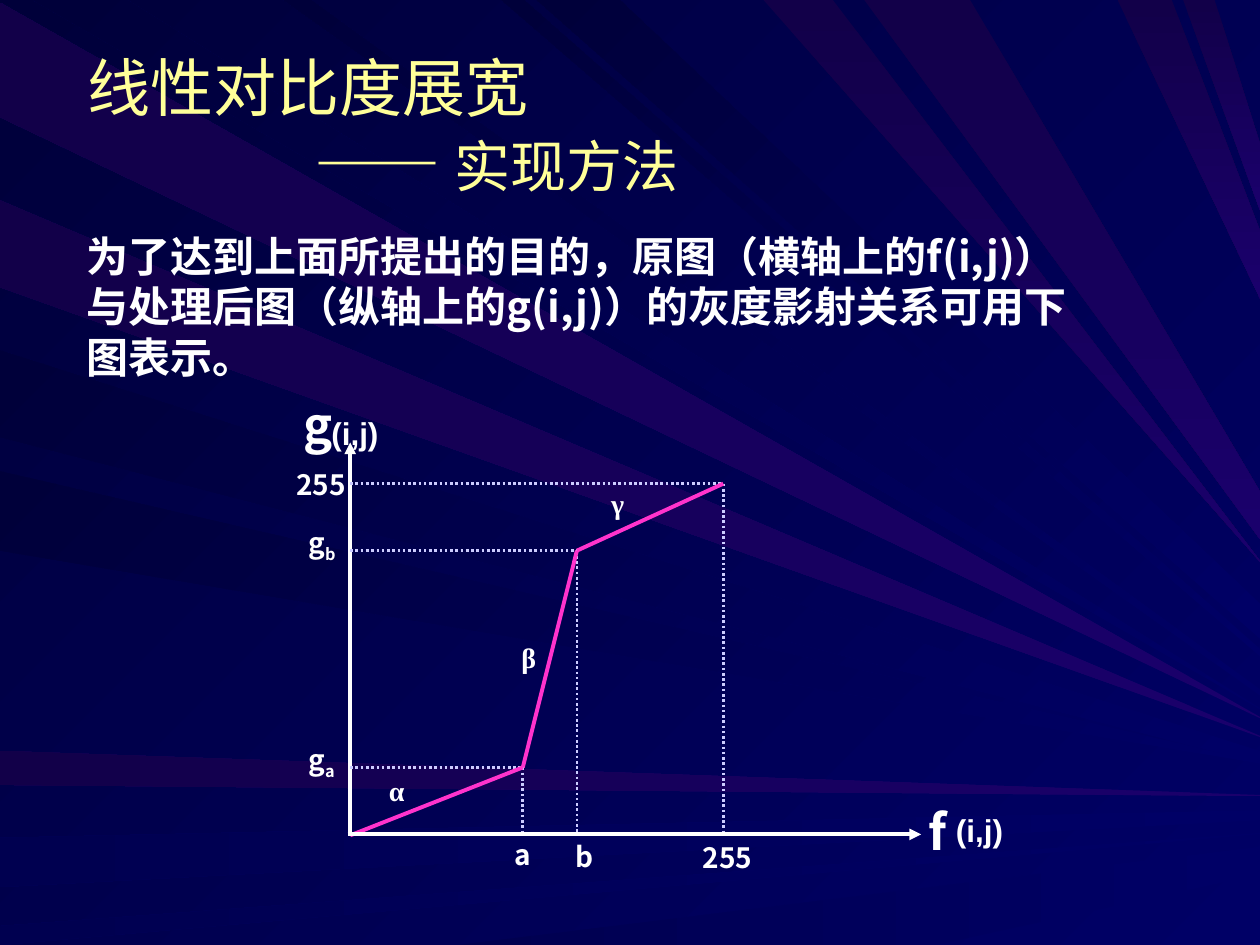
from dataclasses import dataclass
from itertools import pairwise

from lxml.etree import SubElement
from pptx import Presentation
from pptx.dml.color import RGBColor
from pptx.enum.dml import MSO_LINE
from pptx.enum.shapes import MSO_CONNECTOR
from pptx.enum.text import MSO_ANCHOR, MSO_AUTO_SIZE, PP_ALIGN
from pptx.oxml.ns import qn
from pptx.util import Cm, Pt


@dataclass(frozen=True)
class Theme:
    cjk: str = "Noto Sans CJK SC"
    latin: str = "Arial"
    greek: str = "Times New Roman"
    navy: str = "000066"
    dusk: str = "000050"
    night: str = "00003A"
    violet: str = "1A006C"
    plum: str = "120049"
    title: str = "FFFF99"
    text: str = "FFFFFF"
    guide: str = "CCCCFF"
    curve: str = "FF33CC"
    title_size: int = 36
    subtitle_size: int = 32
    body_size: int = 24
    axis_size: int = 28
    arg_size: int = 18
    label_size: int = 16
    leading: float = 1.2


T = Theme()


def write(p, runs, font, color, bold):
    """Fill a paragraph with (text, size) runs; a third item sets the baseline."""
    p.line_spacing = Pt(round(T.leading * max(run[1] for run in runs), 1))
    for text, size, *baseline in runs:
        r = p.add_run()
        r.text = text
        for name, value in {"name": font, "size": Pt(size), "bold": bold}.items():
            setattr(r.font, name, value)
        r.font.color.rgb = RGBColor.from_string(color)
        rPr = r.font._element
        SubElement(rPr, qn("a:ea")).set("typeface", font)
        for value in baseline:
            rPr.set("baseline", str(value))


def draw_line(start, end, color, width, dash=None, arrow=False):
    c = s.shapes.add_connector(MSO_CONNECTOR.STRAIGHT, *map(Cm, start + end))
    c.line.color.rgb = RGBColor.from_string(color)
    c.line.width = Pt(width)
    if dash:
        c.line.dash_style = dash
    if arrow:
        SubElement(c.line._get_or_add_ln(), qn("a:tailEnd")).set("type", "triangle")
    SubElement(c._element.spPr, qn("a:effectLst"))


prs = Presentation()
prs.slide_width, prs.slide_height = Cm(25.4), Cm(19.05)
s = prs.slides.add_slide(prs.slide_layouts[5])

# Background: rays run from a span on one edge to a span on the right edge,
# on a grid of 1000 by 750 units
UNIT = Cm(0.0254)
DIAGONAL = (T.navy, T.night, 135)
FLAT = (T.navy, T.dusk, 180)
VIOLET = (T.violet, T.plum, 180)
VIOLET_DOWN = (T.plum, T.violet, 270)
EDGES = {
    "left": lambda v: (0, v),
    "top": lambda v: (v, 0),
    "bottom": lambda v: (v, 750),
}
RAYS = [
    ("left", VIOLET, [(2, 93, 569, 570), (159, 228, 584, 585), (596, 623, 631, 632)]),
    ("left", FLAT, [(665, 704, 643, 651), (735, 750, 661, 662)]),
    ("bottom", FLAT, [(364, 742, 672, 694)]),
    ("left", DIAGONAL, [(278, 347, 596, 606), (374, 437, 605, 606)]),
    ("top", DIAGONAL, [(26, 101, 563, 562), (225, 247, 552, 547),
                       (398, 416, 521, 515), (426, 492, 507, 479)]),
    ("top", VIOLET_DOWN, [(606, 661, 446, 445), (686, 770, 428, 390),
                          (887, 930, 237, 183), (939, 964, 167, 114)]),
]
rays = s.shapes.add_group_shape()
s.shapes._spTree.insert(2, rays._element)
fills = [(s.background.fill, DIAGONAL)]
for edge, style, spans in RAYS:
    on_edge = EDGES[edge]
    for a, b, end_a, end_b in spans:
        outline = rays.shapes.build_freeform(*on_edge(a), scale=UNIT)
        outline.add_line_segments([on_edge(b), (1000, end_b), (1000, end_a)])
        ray = outline.convert_to_shape()
        ray.shadow.inherit = False
        ray.line.fill.background()
        fills.append((ray.fill, style))
for fill, (start, end, angle) in fills:
    fill.gradient()
    fill.gradient_angle = angle
    for stop, color in zip(fill.gradient_stops, (start, end)):
        stop.color.rgb = RGBColor.from_string(color)

# Title, with an indented second line
title = s.shapes.title
place = {"left": 1.5, "top": 0.91, "width": 21.21, "height": 3.2}
for name, value in place.items():
    setattr(title, name, Cm(value))
tf = title.text_frame
frame = {"word_wrap": True, "auto_size": MSO_AUTO_SIZE.NONE,
         "vertical_anchor": MSO_ANCHOR.MIDDLE}
for name, value in frame.items():
    setattr(tf, name, value)
title_lines = [
    (0, [("线性对比度展宽", T.title_size)]),
    (4.58, [("—— ", T.title_size), ("实现方法", T.subtitle_size)]),
]
for i, (indent, runs) in enumerate(title_lines):
    p = tf.add_paragraph() if i else tf.paragraphs[0]
    for name, value in {"alignment": PP_ALIGN.LEFT, "space_before": Pt(0)}.items():
        setattr(p, name, value)
    pPr = p._p.get_or_add_pPr()
    pPr.set("marL", str(Cm(indent)))
    pPr.set("indent", "0")
    write(p, runs, T.cjk, T.title, False)

# Body text
tf = s.shapes.add_textbox(Cm(1.5), Cm(4.52), Cm(20.8), Cm(3.3)).text_frame
tf.word_wrap = True
body = ("为了达到上面所提出的目的，原图（横轴上的f(i,j)）"
        "与处理后图（纵轴上的g(i,j)）的灰度影射关系可用下图表示。")
write(tf.paragraphs[0], [(body, T.body_size)], T.cjk, T.text, True)

# Axes, dotted guides and the three-piece mapping curve
origin = (7.06, 16.84)
knots = [(10.54, 15.47), (11.63, 11.1), (14.58, 9.75)]
draw_line(origin, (origin[0], 8.92), T.text, 2.25, arrow=True)
for x, y in knots:
    draw_line((origin[0], y), (x, y), T.guide, 1.5, MSO_LINE.ROUND_DOT)
    draw_line((x, y), (x, origin[1]), T.guide, 1.5, MSO_LINE.ROUND_DOT)
for start, end in pairwise([origin] + knots):
    draw_line(start, end, T.curve, 2.25)
draw_line((7.01, 16.82), (18.57, 16.82), T.text, 2.25, arrow=True)

# Diagram labels: left, top, width, font, runs
SMALL, SUB = T.label_size, -25000
labels = [
    (13.92, 16.81, 2.11, T.cjk, [("255", SMALL)]),
    (10.13, 16.76, 0.81, T.cjk, [("a", SMALL)]),
    (11.35, 16.79, 0.81, T.cjk, [("b", SMALL)]),
    (18.47, 16.03, 1.35, T.cjk, [("f", T.axis_size)]),
    (5.87, 7.82, 1.07, T.cjk, [("g", T.axis_size)]),
    (5.72, 9.3, 2.84, T.cjk, [("255", SMALL)]),
    (5.97, 14.94, 1.35, T.cjk, [("g", SMALL), ("a", SMALL, SUB)]),
    (5.97, 10.57, 1.35, T.cjk, [("g", SMALL), ("b", SMALL, SUB)]),
    (7.59, 15.47, 1.07, T.greek, [("α", SMALL)]),
    (12.07, 9.68, 0.76, T.greek, [("γ", SMALL)]),
    (10.26, 12.78, 0.79, T.greek, [("β", SMALL)]),
    (19.02, 16.23, 1.9, T.latin, [("(i,j)", T.arg_size)]),
    (6.43, 8.23, 1.9, T.latin, [("(i,j)", T.arg_size)]),
]
for left, top, width, font, runs in labels:
    height = Pt(T.leading * runs[0][1]) + Cm(0.25)
    tf = s.shapes.add_textbox(Cm(left), Cm(top), Cm(width), height).text_frame
    tf.word_wrap = True
    write(tf.paragraphs[0], runs, font, T.text, True)

prs.save("out.pptx")
